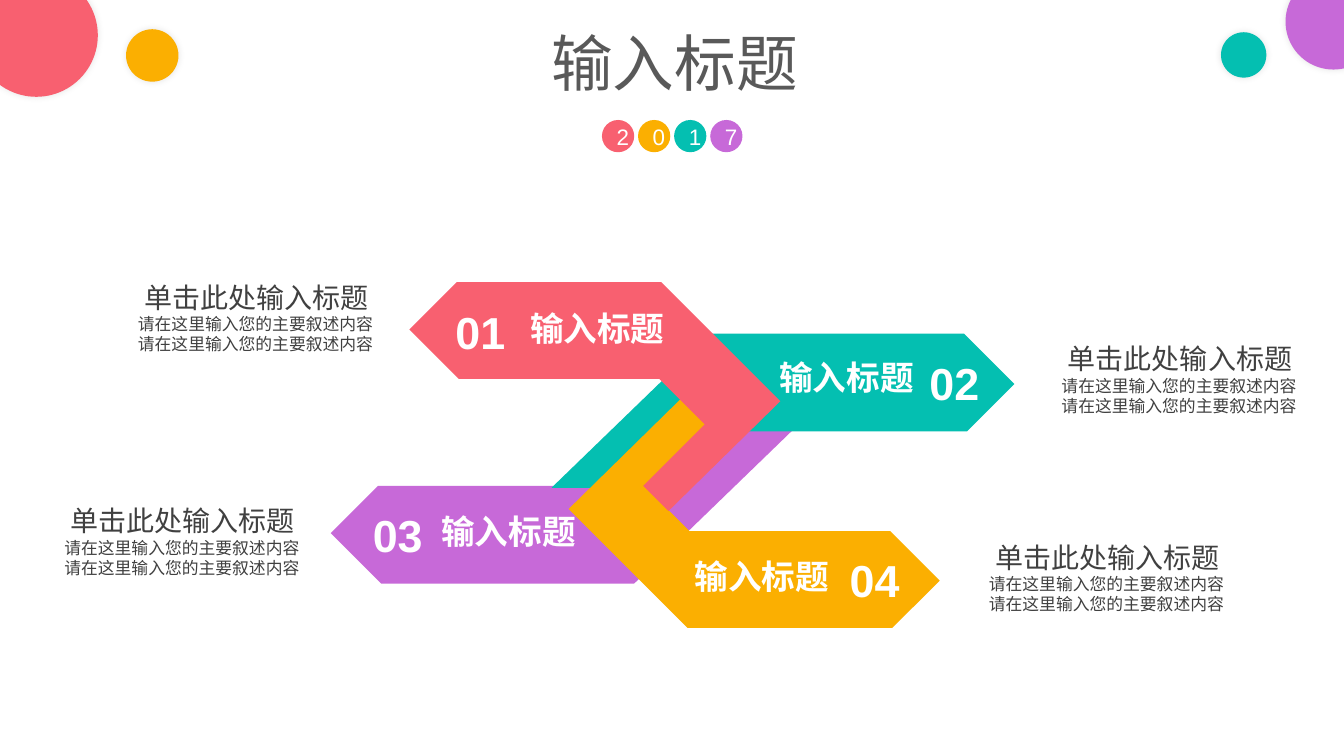
"""Build a slide of four interlocking ribbons, each with a note beside it."""
from lxml.etree import SubElement
from pptx import Presentation
from pptx.dml.color import RGBColor
from pptx.enum.shapes import MSO_SHAPE
from pptx.enum.text import MSO_ANCHOR, MSO_AUTO_SIZE, PP_ALIGN
from pptx.oxml.ns import qn
from pptx.util import Inches, Pt

WIDE, HIGH = Inches(13.33), Inches(7.5)
ROWS = 75
CELL = HIGH / ROWS
FONT = "Arial"
HUES = {"red": "F86070", "gold": "FBAF01", "teal": "04BFB1", "purple": "C769D8",
        "white": "FFFFFF", "gray": "595959", "dark": "404040"}
BAR = [(70.5, 33.1), (95.6, 33.1), (100.6, 38.1), (95.9, 42.8),
       (64.7, 42.8), (59.1, 48.4), (54.7, 48.4)]
HOOK = [(67.5, 39.6), (70, 42.1), (63.9, 48.2), (68.4, 52.7), (88.3, 52.7),
        (93.2, 57.6), (88.5, 62.3), (68.2, 62.3), (56.4, 50.5)]


def grid(*cells):
    """Turn grid cells into slide lengths."""
    return [round(cell * CELL) for cell in cells]


def turn(points, mid):
    """Rotate points by half a turn about mid."""
    return [(2 * mid[0] - x, 2 * mid[1] - y) for x, y in points]


def paint(shape, hue):
    """Give a shape a flat fill without line or shadow."""
    shape.shadow.inherit = False
    shape.fill.solid()
    shape.fill.fore_color.rgb = RGBColor.from_string(HUES[hue])
    shape.line.fill.background()


def write(para, text, size=12, hue="white", bold=False, align=PP_ALIGN.LEFT):
    """Write formatted text into a paragraph."""
    para.alignment = align
    run = para.add_run()
    run.text = text
    font = run.font
    font.name, font.size, font.bold = FONT, Pt(size), bold
    font.color.rgb = RGBColor.from_string(HUES[hue])


def label(shapes, box, lines, wrap=False):
    """Add a text box with one paragraph per (text, format) pair."""
    frame = shapes.add_textbox(*grid(*box)).text_frame
    frame.word_wrap = wrap
    frame.auto_size = MSO_AUTO_SIZE.SHAPE_TO_FIT_TEXT
    for row, (text, form) in enumerate(lines):
        para = frame.add_paragraph() if row else frame.paragraphs[0]
        write(para, text, **form)


def disc(shapes, left, top, size, hue):
    """Add a filled circle."""
    shape = shapes.add_shape(MSO_SHAPE.OVAL, *grid(left, top, size, size))
    paint(shape, hue)
    return shape


def glow(shape):
    """Add a faint, soft shadow around a shape."""
    effect = shape._element.spPr.find(qn("a:effectLst"))
    outer = SubElement(effect, qn("a:outerShdw"), blurRad=str(Pt(5)),
                       dist="0", dir="0", algn="ctr", rotWithShape="0")
    tint = SubElement(outer, qn("a:srgbClr"), val="000000")
    SubElement(tint, qn("a:alpha"), val="11000")


def year(shapes):
    """Add the year, one digit per circle."""
    group = shapes.add_group_shape().shapes
    for col, (digit, hue) in enumerate(zip("2017", HUES)):
        frame = disc(group, 59.7 + 3.58 * col, 11.9, 3.2, hue).text_frame
        frame.vertical_anchor = MSO_ANCHOR.MIDDLE
        write(frame.paragraphs[0], digit, size=16, align=PP_ALIGN.CENTER)


def ribbon(shapes, points, hue, num, spot, head):
    """Add a ribbon with its number and heading."""
    group = shapes.add_group_shape().shapes
    first, *rest = [grid(*point) for point in points]
    path = group.build_freeform(*first)
    path.add_line_segments(rest, close=True)
    paint(path.convert_to_shape(), hue)
    form = {"size": 32, "bold": True, "align": PP_ALIGN.CENTER}
    label(group, (*spot, 7.3, 6.4), [(num, form)], wrap=True)
    label(group, (*head, 15.6, 5), [("输入标题", {"size": 24, "bold": True})])


def note(shapes, left, top):
    """Add a heading with two lines of detail."""
    body = ("请在这里输入您的主要叙述内容", {"hue": "dark"})
    head = (" 单击此处输入标题", {"size": 20, "hue": "dark"})
    label(shapes, (left, top, 25.6, 13.8), [head, body, body])


def main():
    """Build and save the slide."""
    deck = Presentation()
    deck.slide_width, deck.slide_height = WIDE, HIGH
    shapes = deck.slides.add_slide(deck.slide_layouts[6]).shapes
    year(shapes)
    for place in [(127.5, -2.6, 9.5, "purple"), (121.1, 3.2, 4.5, "teal"),
                  (-2.5, -2.6, 12.2, "red"), (12.5, 2.9, 5.2, "gold")]:
        glow(disc(shapes, *place))
    label(shapes, (53.7, 2, 26.7, 8.4), [("输入标题", {"size": 44, "hue": "gray"})])
    for band in [
        (turn(BAR, (66.7, 45.5)), "purple", "03", (35.8, 49.9), (42.8, 50.2)),
        (BAR, "teal", "02", (91, 34.8), (76.3, 34.9)),
        (HOOK, "gold", "04", (83.1, 54.3), (67.9, 54.7)),
        (turn(HOOK, (66.9, 45.15)), "red", "01", (44, 29.7), (51.6, 30.1)),
    ]:
        ribbon(shapes, *band)
    for spot in [(97.1, 53.1), (12.7, 27.3), (5.4, 49.5), (104.3, 33.4)]:
        note(shapes, *spot)
    deck.save("out.pptx")


if __name__ == "__main__":
    main()
